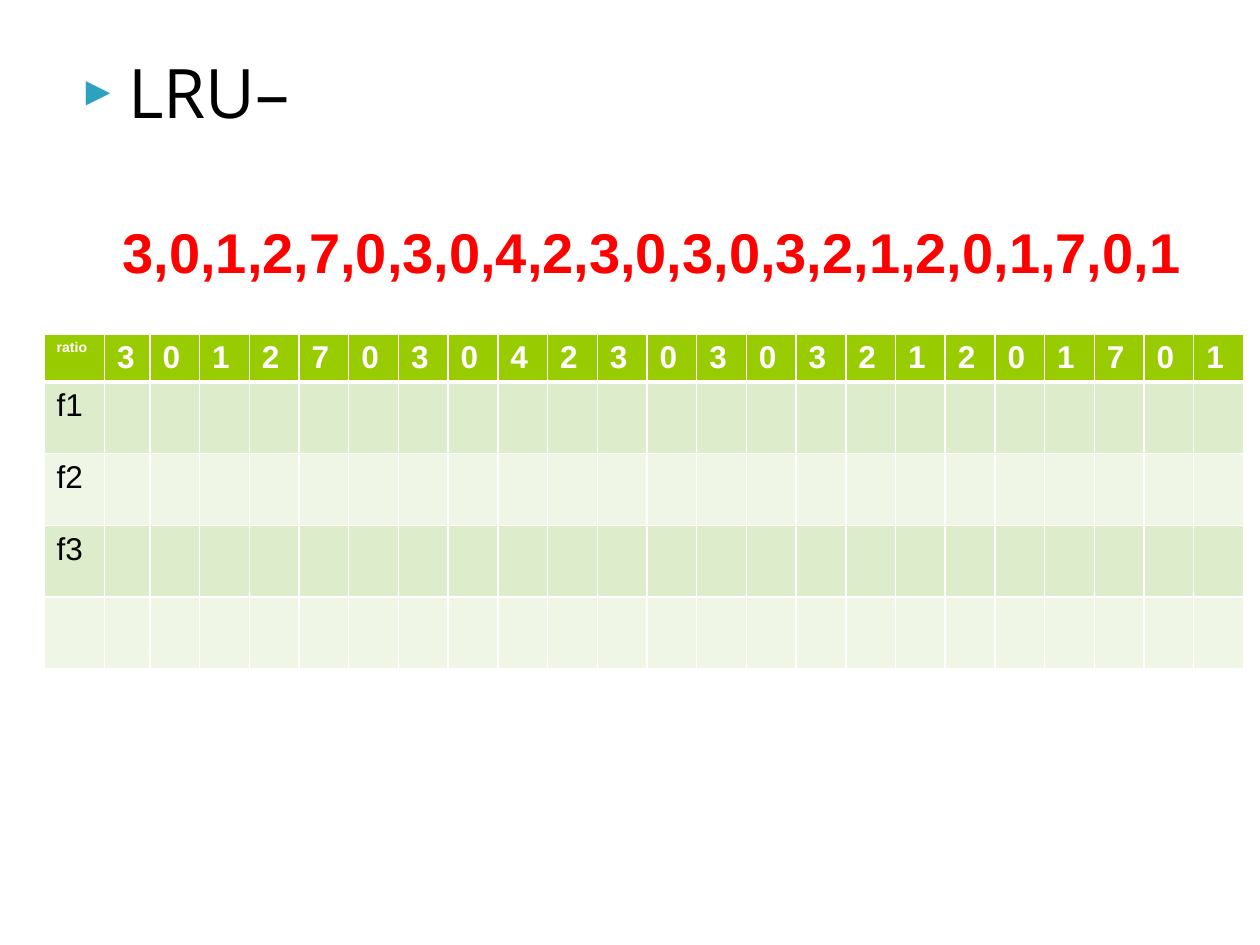
from dataclasses import dataclass

from lxml import etree
from pptx import Presentation
from pptx.dml.color import RGBColor
from pptx.enum.text import MSO_ANCHOR, MSO_AUTO_SIZE, PP_ALIGN
from pptx.oxml.ns import qn
from pptx.util import Inches, Pt

CENTER, LEFT = PP_ALIGN.CENTER, PP_ALIGN.LEFT
TOP, BOTTOM = MSO_ANCHOR.TOP, MSO_ANCHOR.BOTTOM
NO_FIT = MSO_AUTO_SIZE.NONE
TITLE_ONLY = 5


@dataclass(frozen=True)
class Theme:
    font: str = "Arial"
    heading_font: str = "Open Sans"
    black: str = "000000"
    white: str = "FFFFFF"
    red: str = "FF0000"
    bullet: str = "2DA2BF"
    header: str = "99CC00"
    bands: tuple = ("DDECCA", "EFF6E6")
    heading_size: int = 39
    bullet_percent: int = 60
    title_size: int = 32
    cell_size: int = 18
    label_size: int = 8
    thin: int = 1
    thick: int = 3


THEME = Theme()
REFERENCES = "3,0,1,2,7,0,3,0,4,2,3,0,3,0,3,2,1,2,0,1,7,0,1"
FRAME_LABELS = ["f1", "f2", "f3", ""]


def write_text(frame, text, size=THEME.cell_size, font=THEME.font,
               color=THEME.black, bold=False, align=LEFT, anchor=TOP):
    frame.word_wrap = True
    frame.vertical_anchor = anchor
    paragraph = frame.paragraphs[0]
    paragraph.alignment = align
    run = paragraph.add_run()
    run.text = text
    run.font.name = font
    run.font.size = Pt(size)
    run.font.bold = bold
    run.font.color.rgb = RGBColor.from_string(color)
    return paragraph


def place(item, left, top, width, height):
    item.left, item.top = Inches(left), Inches(top)
    item.width, item.height = Inches(width), Inches(height)


def add_title(slide):
    title = slide.shapes.title
    place(title, 0.68, 1.68, 9, 0.63)
    title.text_frame.auto_size = NO_FIT
    write_text(title.text_frame, REFERENCES, size=THEME.title_size,
               color=THEME.red, bold=True, align=CENTER, anchor=BOTTOM)


def add_bullet(paragraph, symbol):
    properties = paragraph._p.get_or_add_pPr()
    properties.set("marL", str(Inches(0.57)))
    properties.set("indent", str(Inches(-0.4)))
    bullet_color = etree.SubElement(properties, qn("a:buClr"))
    etree.SubElement(bullet_color, qn("a:srgbClr"), val=THEME.bullet)
    etree.SubElement(properties, qn("a:buSzPct"),
                     val=str(THEME.bullet_percent * 1000))
    etree.SubElement(properties, qn("a:buFont"), typeface=THEME.font)
    etree.SubElement(properties, qn("a:buChar"), char=symbol)


def add_heading(slide):
    heading = slide.shapes.add_textbox(
        Inches(0.35), Inches(0.35), Inches(6.37), Inches(0.76))
    paragraph = write_text(heading.text_frame, "LRU–", size=THEME.heading_size,
                           font=THEME.heading_font)
    add_bullet(paragraph, "►")


def set_borders(cell, top, bottom):
    properties = cell._tc.get_or_add_tcPr()
    sides = {"L": THEME.thin, "R": THEME.thin, "T": top, "B": bottom}
    for side, width in sides.items():
        line = etree.SubElement(properties, qn(f"a:ln{side}"), w=str(Pt(width)))
        fill = etree.SubElement(line, qn("a:solidFill"))
        etree.SubElement(fill, qn("a:srgbClr"), val=THEME.white)


def style_cell(cell, row):
    set_borders(cell, top=THEME.thick if row == 1 else THEME.thin,
                bottom=THEME.thick if row == 0 else THEME.thin)
    color = THEME.bands[(row - 1) % 2] if row else THEME.header
    cell.fill.solid()
    cell.fill.fore_color.rgb = RGBColor.from_string(color)


def add_frame_table(slide):
    pages = REFERENCES.split(",")
    width, label_width, first_width = 9.52, 0.48, 0.36
    page_width = (width - label_width - first_width) / (len(pages) - 1)
    column_widths = [label_width, first_width] + [page_width] * (len(pages) - 1)
    row_heights = [0.37] + [0.57] * len(FRAME_LABELS)

    table = slide.shapes.add_table(
        len(row_heights), len(column_widths), Inches(0.35), Inches(2.65),
        Inches(width), Inches(sum(row_heights))).table
    table.first_row = False
    table.horz_banding = False
    for column, column_width in zip(table.columns, column_widths):
        column.width = Inches(column_width)
    for index, (row, height) in enumerate(zip(table.rows, row_heights)):
        row.height = Inches(height)
        for cell in row.cells:
            style_cell(cell, index)

    write_text(table.cell(0, 0).text_frame, "ratio", size=THEME.label_size,
               color=THEME.white, bold=True)
    for column, page in enumerate(pages, start=1):
        write_text(table.cell(0, column).text_frame, page,
                   color=THEME.white, bold=True)
    for row, label in enumerate(FRAME_LABELS, start=1):
        if label:
            write_text(table.cell(row, 0).text_frame, label)


def main():
    presentation = Presentation()
    presentation.slide_width = Inches(10)
    presentation.slide_height = Inches(7.5)
    slide = presentation.slides.add_slide(presentation.slide_layouts[TITLE_ONLY])
    add_title(slide)
    add_frame_table(slide)
    add_heading(slide)
    presentation.save("out.pptx")


if __name__ == "__main__":
    main()
